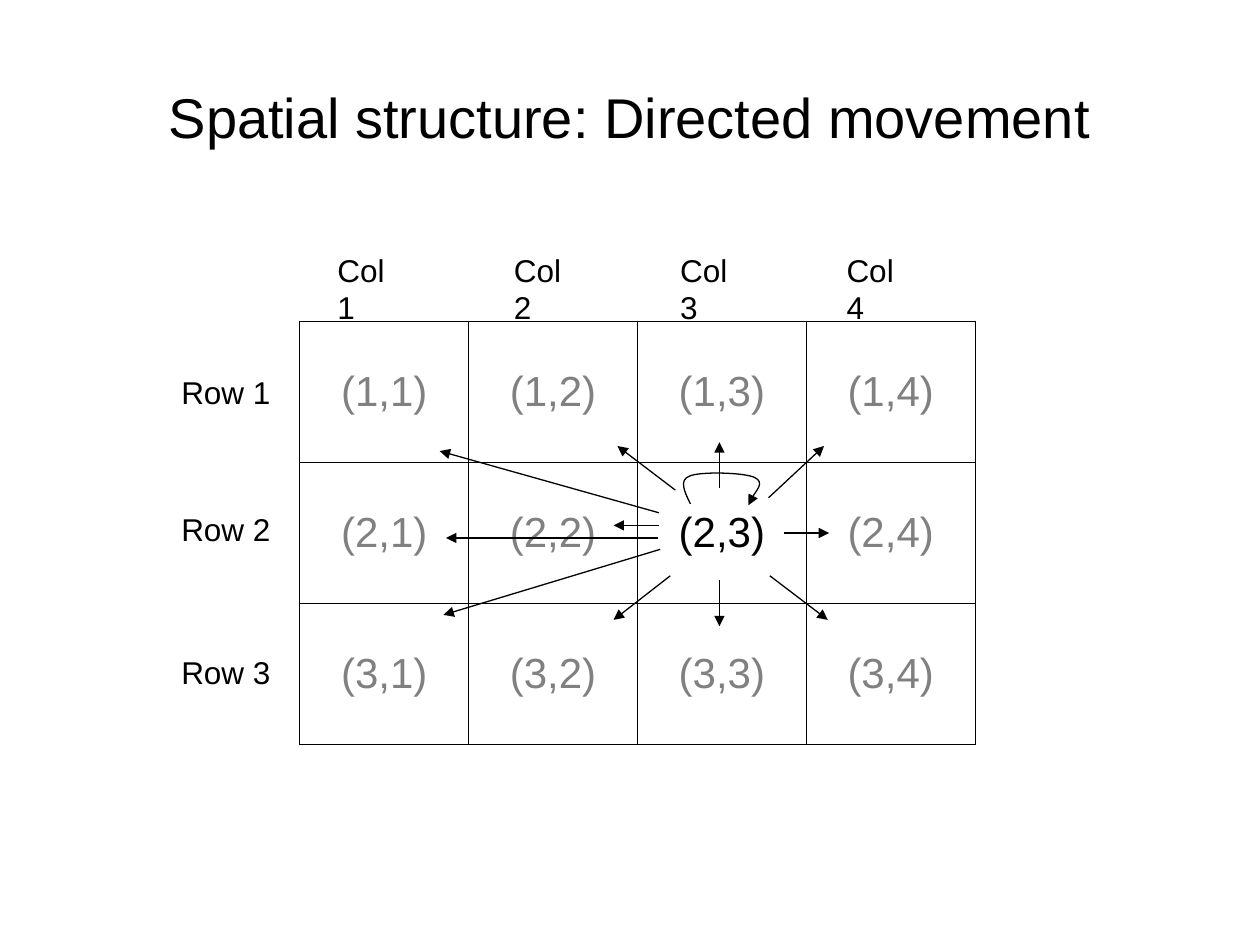
from itertools import product

from lxml import etree
from pptx import Presentation
from pptx.dml.color import RGBColor as RGB
from pptx.enum.shapes import MSO_CONNECTOR as CONN
from pptx.enum.text import MSO_ANCHOR as ANCHOR, MSO_AUTO_SIZE as AUTO, PP_ALIGN as ALIGN
from pptx.oxml import parse_xml
from pptx.oxml.ns import nsdecls, qn
from pptx.util import Inches, Pt

COLORS = {"ink": "000000", "muted": "808080"}
FONT = "Arial"
ROWS, COLS = 3, 4
CELL_W, CELL_H = 1.34, 1.12
GRID = (2.38, 2.55, COLS * CELL_W, ROWS * CELL_H)
SOURCE = (2, 3)
ROW_TOPS = (2.91, 4, 5.13)
COL_LEFTS = (2.58, 3.98, 5.3, 6.62)

# Arrow ends and loop points, measured from the centre of the source cell
MOVES = [
    ((-0.02, -0.36), (-0.02, -0.72)),
    ((-0.02, 0.37), (-0.02, 0.74)),
    ((-0.5, -0.06), (-0.86, -0.06)),
    ((0.49, 0), (0.85, 0)),
    ((0.37, -0.28), (0.81, -0.69)),
    ((-0.37, -0.34), (-0.83, -0.69)),
    ((0.38, 0.34), (0.84, 0.69)),
    ((-0.41, 0.34), (-0.86, 0.69)),
    ((-0.49, 0.13), (-2.21, 0.65)),
    ((-0.5, -0.16), (-2.24, -0.65)),
    ((-0.51, 0.04), (-2.19, 0.04)),
]
LOOP = [
    (-0.25, -0.23),
    (-0.3, -0.33), (-0.34, -0.42), (-0.26, -0.45),
    (-0.18, -0.49), (0.18, -0.48), (0.26, -0.44),
    (0.34, -0.4), (0.21, -0.25), (0.21, -0.22),
]


def style(para, size, color="ink"):
    for run in para.runs:
        run.font.size = Pt(size)
        run.font.name = FONT
        run.font.color.rgb = RGB.from_string(COLORS[color])


def add_text(slide, box, text, size, wrap=True):
    shape = slide.shapes.add_textbox(*map(Inches, box))
    frame = shape.text_frame
    frame.text = text
    frame.word_wrap = wrap
    style(frame.paragraphs[0], size)
    return frame


def add_title(slide, box):
    frame = add_text(slide, box, "Spatial structure: Directed movement", 32)
    frame.vertical_anchor = ANCHOR.MIDDLE
    frame.paragraphs[0].alignment = ALIGN.CENTER


def add_label(slide, box, text, wrap):
    frame = add_text(slide, box, text, 18, wrap)
    frame.auto_size = AUTO.SHAPE_TO_FIT_TEXT


def add_borders(cell):
    props = cell._tc.get_or_add_tcPr()
    for spot, side in enumerate(("lnL", "lnR", "lnT", "lnB")):
        props.insert(spot, parse_xml(
            f'<a:{side} {nsdecls("a")} w="{Pt(0.75)}"><a:solidFill>'
            f'<a:srgbClr val="{COLORS["ink"]}"/></a:solidFill></a:{side}>'))


def add_grid(slide, box):
    table = slide.shapes.add_table(ROWS, COLS, *map(Inches, box)).table
    table.first_row = table.horz_banding = False
    for col in table.columns:
        col.width = Inches(box[2] / COLS)
    for row in table.rows:
        row.height = Inches(box[3] / ROWS)
    for r, c in product(range(ROWS), range(COLS)):
        cell = table.cell(r, c)
        cell.text = f"({r + 1},{c + 1})"
        cell.vertical_anchor = ANCHOR.MIDDLE
        cell.fill.background()
        add_borders(cell)
        para = cell.text_frame.paragraphs[0]
        para.alignment = ALIGN.CENTER
        para.space_before = Pt(6)
        style(para, 24, "ink" if (r + 1, c + 1) == SOURCE else "muted")


def add_head(shape):
    shape.line.color.rgb = RGB.from_string(COLORS["ink"])
    shape.line.width = Pt(0.75)
    etree.SubElement(shape.line._get_or_add_ln(), qn("a:tailEnd"), type="triangle")


def add_loop(slide, points):
    build = slide.shapes.build_freeform(*points[0])
    build.add_line_segments(points[1:], close=False)
    shape = build.convert_to_shape()
    shape.shadow.inherit = False
    shape.fill.background()
    add_head(shape)
    # Every three points after the start become one Bezier curve
    outline = shape._element.spPr.find(".//" + qn("a:path"))
    lines = outline.findall(qn("a:lnTo"))
    for i in range(0, len(lines), 3):
        curve = etree.SubElement(outline, qn("a:cubicBezTo"))
        for line in lines[i:i + 3]:
            curve.append(line[0])
            outline.remove(line)


def add_moves(slide, box):
    left, top, width, height = box
    mid_x = left + (SOURCE[1] - 0.5) * width / COLS
    mid_y = top + (SOURCE[0] - 0.5) * height / ROWS

    def place(point):
        return Inches(mid_x + point[0]), Inches(mid_y + point[1])

    for start, end in MOVES:
        arrow = slide.shapes.add_connector(CONN.STRAIGHT, *place(start), *place(end))
        add_head(arrow)
        etree.SubElement(arrow._element.spPr, qn("a:effectLst"))
    add_loop(slide, [place(point) for point in LOOP])


def main():
    prs = Presentation()
    prs.slide_width, prs.slide_height = Inches(10), Inches(7.5)
    slide = prs.slides.add_slide(prs.slide_layouts[6])
    add_title(slide, (0.5, 0.3, 9, 1.25))
    add_grid(slide, GRID)
    # Row and column labels
    for n, top in enumerate(ROW_TOPS, 1):
        add_label(slide, (1.34, top, 0.91, 0.4), f"Row {n}", True)
    for n, left in enumerate(COL_LEFTS, 1):
        add_label(slide, (left, 1.94, 0.78, 0.4), f"Col {n}", False)
    add_moves(slide, GRID)
    prs.save("out.pptx")


if __name__ == "__main__":
    main()
